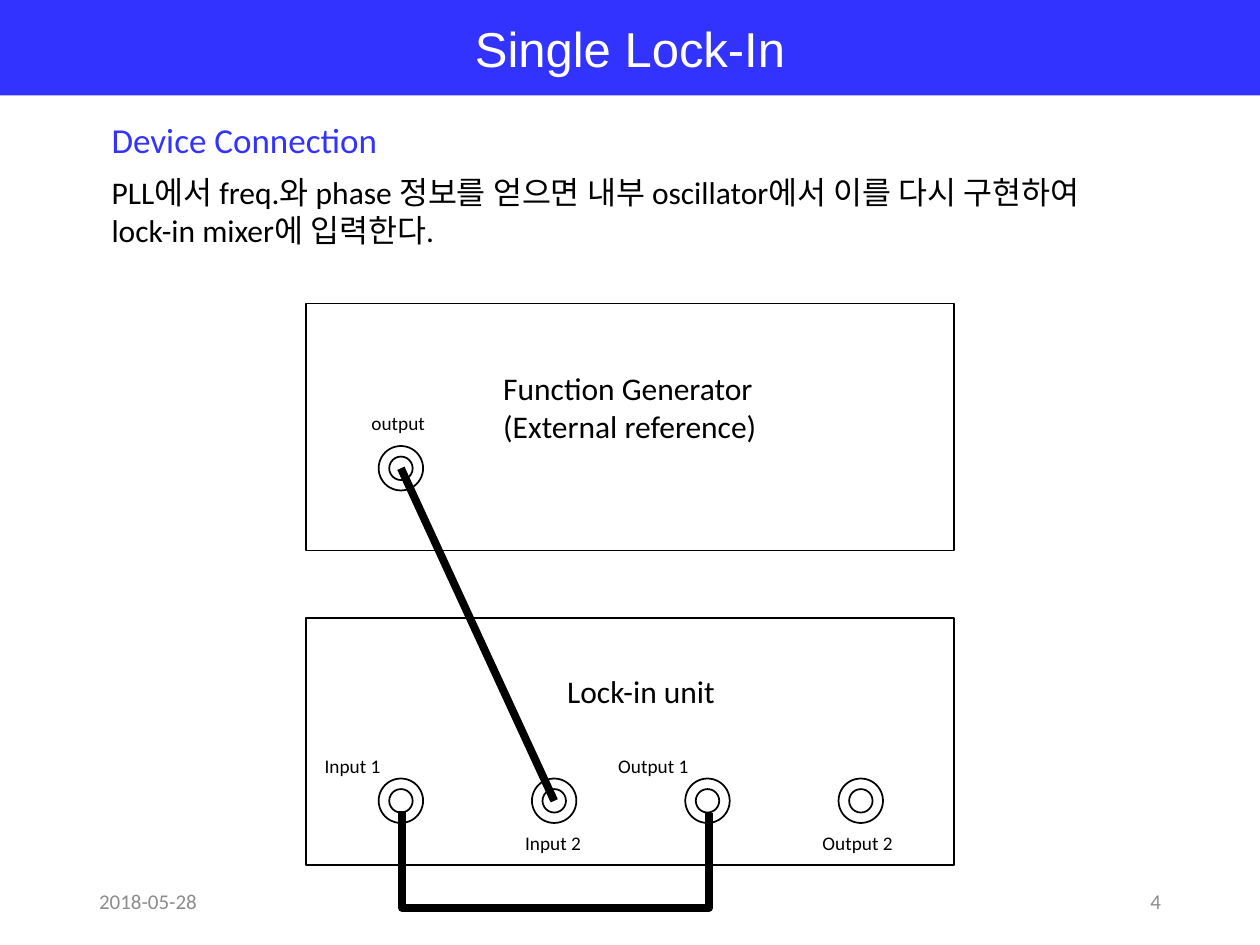
from lxml import etree
from pptx import Presentation
from pptx.dml.color import RGBColor
from pptx.enum.shapes import MSO_CONNECTOR as CONN, MSO_SHAPE as SHAPE
from pptx.enum.text import MSO_ANCHOR as ANCHOR, PP_ALIGN as ALIGN
from pptx.oxml.ns import qn
from pptx.util import Pt

COLORS = {"blue": "3333FF", "white": "FFFFFF", "black": "000000", "gray": "8C8C8C"}
JACK_X, JACK_PITCH = 229.1, 87.6
GENERATOR_JACK_Y, LOCKIN_JACK_Y = 267.6, 457.6


def color(name):
    return RGBColor.from_string(COLORS[name])


def write(tf, lines, size, col, align=ALIGN.LEFT, font="Calibri"):
    for i, line in enumerate(lines):
        p = tf.paragraphs[0] if i == 0 else tf.add_paragraph()
        p.text = line
        p.alignment = align
        p.font.size, p.font.name = Pt(size), font
        p.font.color.rgb = color(col)


def add_text(s, x, y, w, h, lines, size, col="black", align=ALIGN.LEFT, anchor=ANCHOR.TOP):
    tf = s.shapes.add_textbox(Pt(x), Pt(y), Pt(w), Pt(h)).text_frame
    tf.word_wrap = True
    tf.vertical_anchor = anchor
    write(tf, lines, size, col, align)


def add_outline(shapes, kind, x, y, w, h):
    sp = shapes.add_shape(kind, Pt(x), Pt(y), Pt(w), Pt(h))
    sp.shadow.inherit = False
    sp.fill.background()
    sp.line.color.rgb = color("black")
    sp.line.width = Pt(1)


def add_jack(s, cx, cy):
    group = s.shapes.add_group_shape()
    for d in (25.4, 13.4):
        add_outline(group.shapes, SHAPE.OVAL, cx - d / 2, cy - d / 2, d, d)


def add_cable(s, kind, x1, y1, x2, y2):
    cable = s.shapes.add_connector(kind, Pt(x1), Pt(y1), Pt(x2), Pt(y2))
    cable.line.color.rgb = color("black")
    cable.line.width = Pt(4.5)
    etree.SubElement(cable._element.spPr, qn("a:effectLst"))
    return cable


def add_loop_cable(s, x1, x2, y, depth):
    """U-shaped elbow connector: a 1 pt wide box turned by 270 degrees."""
    cx, span = (x1 + x2) / 2, x2 - x1
    cable = add_cable(s, CONN.ELBOW, cx - 0.5, y - span / 2, cx + 0.5, y + span / 2)
    spPr = cable._element.spPr
    xfrm = spPr.find(qn("a:xfrm"))
    xfrm.set("rot", str(270 * 60000))
    xfrm.set("flipH", "1")
    geom = spPr.find(qn("a:prstGeom"))
    av = geom.find(qn("a:avLst"))
    if av is None:
        av = etree.SubElement(geom, qn("a:avLst"))
    etree.SubElement(av, qn("a:gd"), name="adj1", fmla=f"val {round(depth * 100000)}")


def add_banner(s, title):
    sp = s.shapes.add_shape(SHAPE.RECTANGLE, 0, 0, Pt(720), Pt(54.5))
    sp.shadow.inherit = False
    sp.fill.solid()
    sp.fill.fore_color.rgb = color("blue")
    sp.line.fill.background()
    tf = sp.text_frame
    tf.word_wrap = False
    tf.vertical_anchor = ANCHOR.MIDDLE
    write(tf, [title], 28, "white", ALIGN.CENTER, "Arial")


def main():
    prs = Presentation()
    prs.slide_width, prs.slide_height = Pt(720), Pt(540)
    s = prs.slides.add_slide(prs.slide_layouts[6])

    # Title banner and footer
    add_banner(s, "Single Lock-In")
    add_text(s, 49.5, 500.5, 162, 28.75, ["2018-05-28"], 12, "gray", anchor=ANCHOR.MIDDLE)
    add_text(s, 508.5, 500.5, 162, 28.75, ["4"], 12, "gray", ALIGN.RIGHT, ANCHOR.MIDDLE)

    # Heading and explanation
    add_text(s, 56.7, 64.2, 225, 31.5, ["Device Connection"], 20, "blue")
    add_text(s, 56.7, 95.2, 590.4, 51, [
        "PLL에서 freq.와 phase 정보를 얻으면 내부 oscillator에서 이를 다시 "
        "구현하여 lock-in mixer에 입력한다."], 18)

    # Devices: function generator above, lock-in amplifier below
    for y in (173.5, 353.3):
        add_outline(s.shapes, SHAPE.RECTANGLE, 174.9, y, 370.3, 141.1)
    for i in range(4):
        add_jack(s, JACK_X + i * JACK_PITCH, LOCKIN_JACK_Y)
    add_jack(s, JACK_X, GENERATOR_JACK_Y)
    add_text(s, 280.5, 207.5, 160, 51, ["Function Generator", "(External reference)"], 18)
    add_text(s, 317, 380.5, 111.6, 29, ["Lock-in unit"], 18)

    # Jack labels
    for text, x, y, w in (
        ("output", 205.2, 231.4, 47.5),
        ("Input 1", 178.4, 427.4, 47.5),
        ("Input 2", 293, 471.5, 47.5),
        ("Output 1", 346.2, 427.4, 59),
        ("Output 2", 462.9, 471.5, 59),
    ):
        add_text(s, x, y, w, 20.6, [text], 11)

    # Cables
    add_cable(s, CONN.STRAIGHT, JACK_X, GENERATOR_JACK_Y, JACK_X + JACK_PITCH, LOCKIN_JACK_Y)
    add_loop_cable(s, 229.7, 405.2, 464.2, 55.5)

    prs.save("out.pptx")


if __name__ == "__main__":
    main()
